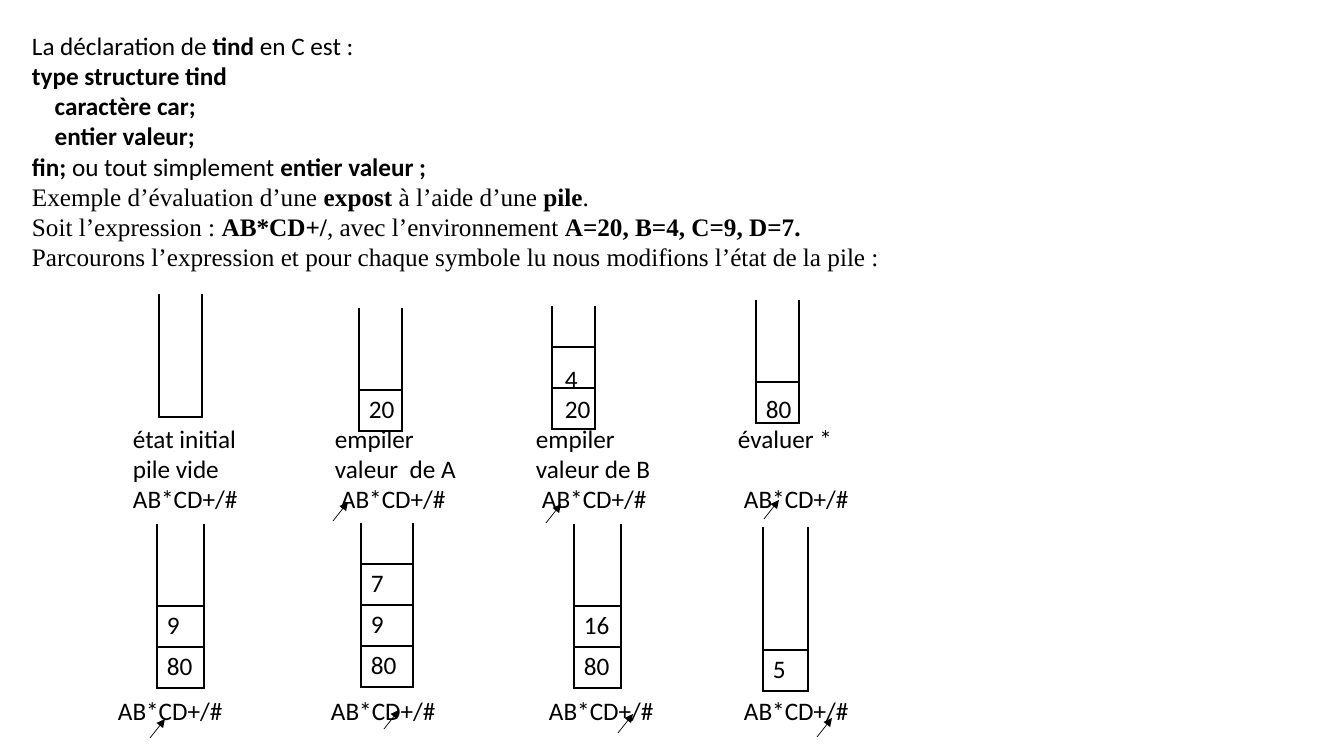
from lxml.etree import SubElement
from pptx import Presentation
from pptx.dml.color import RGBColor
from pptx.enum.shapes import MSO_CONNECTOR as CONN
from pptx.enum.text import MSO_ANCHOR as ANCHOR, PP_ALIGN as ALIGN
from pptx.oxml.ns import qn
from pptx.util import Emu, Pt

SCALE = 914400 / 100.8
COLORS = {"ink": "000000", "paper": "FFFFFF"}
SANS, SERIF = "Calibri", "Times New Roman"
LINE_H, CELL_H = 30, 41
EXPRESSION = "AB*CD+/#"

# Bars switch bold on and off.
INTRO = [
    (SANS, "La déclaration de |tind| en C est :"),
    (SANS, "|type structure tind"),
    (SANS, "|    caractère car;"),
    (SANS, "|    entier valeur;"),
    (SANS, "|fin; |ou tout simplement| entier valeur ;"),
    (SERIF, "Exemple d’évaluation d’une |expost| à l’aide d’une |pile|."),
    (SERIF, "Soit l’expression : |AB*CD+/|, avec l’environnement "
            "|A=20, B=4, C=9, D=7."),
    (SERIF, "Parcourons l’expression et pour chaque symbole lu "
            "nous modifions l’état de la pile :"),
]
# left, top, width, number of cells, values from top to bottom;
# an empty value is a cell labelled by VALUE_LABELS
STACKS = [
    (159, 294, 43, 3, []),
    (359, 308, 43, 3, [""]),
    (552, 306, 43, 3, ["", ""]),
    (756, 300, 43, 3, [""]),
    (157, 524, 47, 4, ["9", "80"]),
    (361, 523, 52, 4, ["7", "9", "80"]),
    (574, 524, 47, 4, ["16", "80"]),
    (763, 527, 45, 4, ["5"]),
]
VALUE_LABELS = [(369, 393, "20"), (565, 363, "4"), (565, 393, "20"),
                (766, 393, "80")]
CAPTIONS = [
    (133, ["état initial", "pile vide"]),
    (335, ["empiler", "valeur  de A"]),
    (536, ["empiler", "valeur de B"]),
    (738, ["évaluer *"]),
]
EXPRESSION_ROWS = [(483, [133, 341, 542, 744]), (695, [118, 331, 549, 744])]
READ_HEADS = [(333, 521), (546, 523), (764, 519), (150, 738),
              (384, 729), (618, 733), (817, 737)]


def px(n):
    return Emu(round(n * SCALE))


def color(name):
    return RGBColor.from_string(COLORS[name])


def set_all(obj, values):
    for name, value in values.items():
        setattr(obj, name, value)


def add_run(p, text, font=SANS, bold=False):
    r = p.add_run()
    r.text = text
    set_all(r.font, {"name": font, "size": Pt(18), "bold": bold})
    r.font.color.rgb = color("ink")


def add_text(slide, x, y, w, lines, align=ALIGN.LEFT):
    """Add a box of (font, text) lines, with bars toggling bold."""
    box = slide.shapes.add_textbox(px(x), px(y), px(w), px(LINE_H * len(lines)))
    tf = box.text_frame
    set_all(tf, {"word_wrap": True, "margin_left": 0, "margin_right": 0,
                 "margin_top": 0, "margin_bottom": 0})
    for i, (font, text) in enumerate(lines):
        p = tf.add_paragraph() if i else tf.paragraphs[0]
        set_all(p, {"alignment": align, "line_spacing": Pt(21.6)})
        for n, part in enumerate(text.split("|")):
            if part:
                add_run(p, part, font, n % 2 == 1)


def set_borders(cell, sides):
    tc_pr = cell._tc.get_or_add_tcPr()
    for side in "LRTB":
        ln = SubElement(tc_pr, qn(f"a:ln{side}"), w=str(Pt(1)))
        if side in sides:
            fill = SubElement(ln, qn("a:solidFill"))
            SubElement(fill, qn("a:srgbClr"), val=COLORS["ink"])
        else:
            SubElement(ln, qn("a:noFill"))


def add_stack(slide, x, y, w, size, values):
    """Add an open-topped column whose lowest cells hold the values."""
    frame = slide.shapes.add_table(size, 1, px(x), px(y), px(w), px(CELL_H * size))
    table = frame.table
    set_all(table, {"first_row": False, "horz_banding": False})
    table.columns[0].width = px(w)
    first = size - len(values)
    for row in range(size):
        table.rows[row].height = px(CELL_H)
        cell = table.cell(row, 0)
        set_all(cell, {"margin_left": px(10), "margin_right": 0,
                       "margin_top": px(2), "margin_bottom": px(4),
                       "vertical_anchor": ANCHOR.MIDDLE})
        top = "T" if row >= first and row else ""
        bottom = "B" if row + 1 >= first and (values or row + 1 == size) else ""
        set_borders(cell, "LR" + top + bottom)
        cell.fill.background()
        if row >= first and values[row - first]:
            add_run(cell.text_frame.paragraphs[0], values[row - first])


def add_read_head(slide, x, y):
    """Add the small arrow that points up at the symbol being read."""
    arrow = slide.shapes.add_connector(
        CONN.STRAIGHT, px(x), px(y), px(x + 15), px(y - 19))
    arrow.line.width = Pt(0.5)
    arrow.line.color.rgb = color("ink")
    SubElement(arrow.line._get_or_add_ln(), qn("a:tailEnd"), type="triangle")
    SubElement(arrow._element.spPr, qn("a:effectLst"))


def main():
    prs = Presentation()
    set_all(prs, {"slide_width": px(1344), "slide_height": px(756)})
    slide = prs.slides.add_slide(prs.slide_layouts[6])
    slide.background.fill.solid()
    slide.background.fill.fore_color.rgb = color("paper")

    add_text(slide, 32, 30, 1280, INTRO, ALIGN.JUSTIFY)
    for x, y, value in VALUE_LABELS:
        add_text(slide, x, y, 30, [(SANS, value)])
    for x, lines in CAPTIONS:
        add_text(slide, x, 423, 140, [(SANS, line) for line in lines])
    for y, lefts in EXPRESSION_ROWS:
        for x in lefts:
            add_text(slide, x, y, 130, [(SANS, EXPRESSION)])
    for stack in STACKS:
        add_stack(slide, *stack)
    for x, y in READ_HEADS:
        add_read_head(slide, x, y)
    prs.save("out.pptx")


if __name__ == "__main__":
    main()
